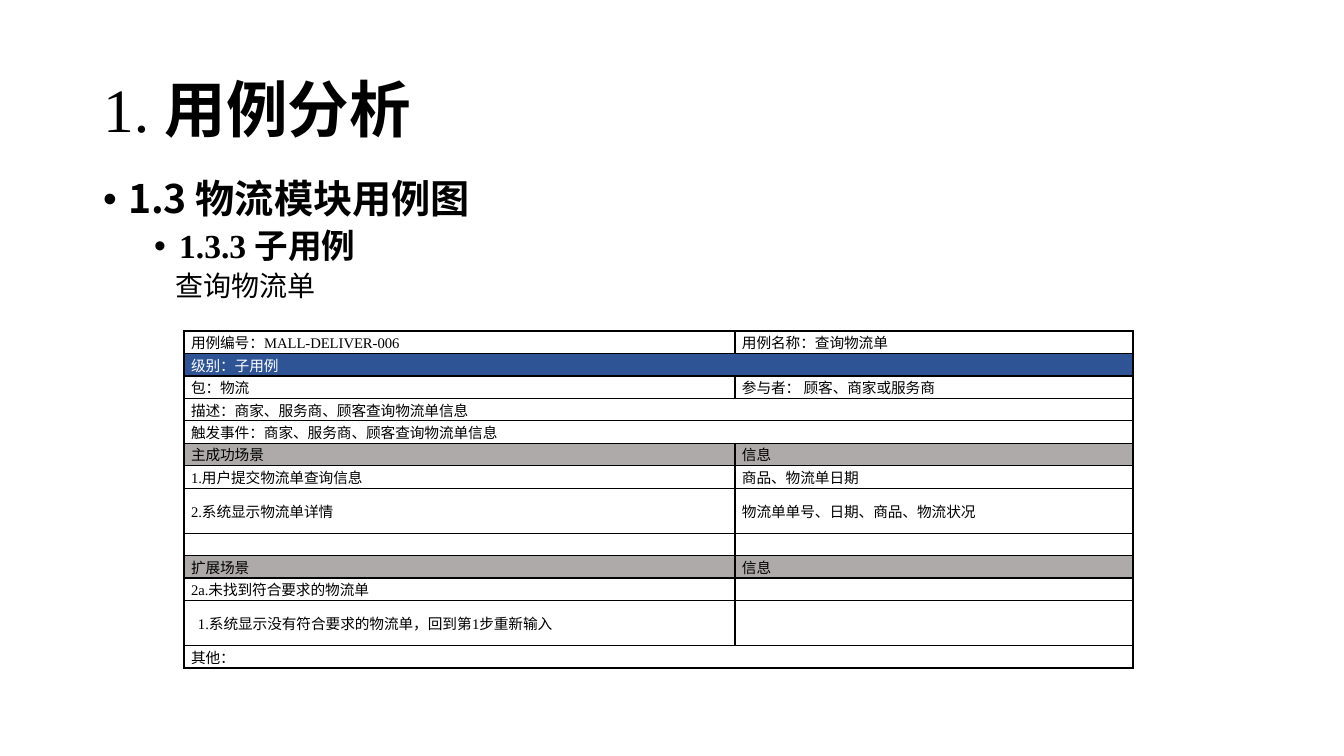
from dataclasses import dataclass

from lxml.etree import SubElement
from pptx import Presentation
from pptx.dml.color import RGBColor
from pptx.enum.text import MSO_ANCHOR as Anchor, MSO_AUTO_SIZE as AutoSize, PP_ALIGN as Align
from pptx.oxml.ns import qn
from pptx.util import Pt

# Content
TITLE = [("1. ", False), ("用例分析", True)]
# text, level, size name, font name, bold, left margin, bullet hang, space before
OUTLINE = [
    ("1.3 物流模块用例图", 0, "heading", "sans", True, 25, 25, 0),
    ("1.3.3 子用例", 1, "subheading", "serif", True, 76, 25, 5),
    ("查询物流单", 1, "item", "serif", False, 72, 0, 5),
]
# cell texts (one text spans the row), row style, height in units, left indent
USE_CASE = [
    (["用例编号：MALL-DELIVER-006", "用例名称：查询物流单"], "plain", 1, 0),
    (["级别：子用例"], "level", 1, 0),
    (["包：物流", "参与者： 顾客、商家或服务商"], "plain", 1, 0),
    (["描述：商家、服务商、顾客查询物流单信息"], "plain", 1, 0),
    (["触发事件：商家、服务商、顾客查询物流单信息"], "plain", 1, 0),
    (["主成功场景", "信息"], "section", 1, 0),
    (["1.用户提交物流单查询信息", "商品、物流单日期"], "plain", 1, 0),
    (["2.系统显示物流单详情", "物流单单号、日期、商品、物流状况"], "plain", 2, 0),
    (["", ""], "plain", 1, 0),
    (["扩展场景", "信息"], "section", 1, 0),
    (["2a.未找到符合要求的物流单", ""], "plain", 1, 0),
    (["1.系统显示没有符合要求的物流单，回到第1步重新输入", ""], "plain", 2, 7),
    (["其他："], "plain", 1, 0),
]

# Layout in px
SLIDE = (1344, 756)
TITLE_BOX = (93, 40, 1159, 146)
BODY_BOX = (93, 175, 1159, 480)
TABLE_LEFT, TABLE_TOP, TABLE_HEIGHT = 184, 331, 337
COLUMNS = (551, 398)
CELL_INSET = 7


@dataclass(frozen=True)
class Theme:
    serif: str = "Times New Roman"
    sans: str = "Noto Sans CJK SC"
    black: str = "000000"
    white: str = "FFFFFF"
    blue: str = "2F5496"
    grey: str = "AEAAAA"
    title: float = 44
    heading: float = 28
    subheading: float = 24
    item: float = 20
    cell: float = 10.5
    border: float = 1


THEME = Theme()
ROW_STYLES = {  # fill, text colour
    "plain": (None, THEME.black),
    "level": (THEME.blue, THEME.white),
    "section": (THEME.grey, THEME.black),
}


def px(length):
    return round(length * 914400 / 100.8)


def place(shape, box):
    shape.left, shape.top, shape.width, shape.height = map(px, box)


def format_span(span, size, font, color=THEME.black, bold=False):
    span.font.size = Pt(size)
    span.font.bold = bold
    span.font.color.rgb = RGBColor.from_string(color)
    span.font.name = font
    SubElement(span.font._element, qn("a:ea"), typeface=THEME.sans)


def set_indent(para, margin, hang=0):
    props = para._p.get_or_add_pPr()
    props.set("marL", str(px(margin)))
    props.set("indent", str(-px(hang)))
    return props


def draw_borders(cell):
    props = cell._tc.get_or_add_tcPr()
    for side in ("lnL", "lnR", "lnT", "lnB"):
        line = SubElement(props, qn(f"a:{side}"), w=str(Pt(THEME.border)))
        SubElement(SubElement(line, qn("a:solidFill")), qn("a:srgbClr"), val=THEME.black)


def fill_title(shape):
    place(shape, TITLE_BOX)
    frame = shape.text_frame
    frame.auto_size = AutoSize.NONE
    frame.vertical_anchor = Anchor.MIDDLE
    para = frame.paragraphs[0]
    para.alignment = Align.LEFT
    para.line_spacing = 0.9
    for text, bold in TITLE:
        span = para.add_run()
        span.text = text
        format_span(span, THEME.title, THEME.serif, bold=bold)


def fill_outline(shape):
    place(shape, BODY_BOX)
    frame = shape.text_frame
    frame.text = "\n".join(entry[0] for entry in OUTLINE)
    frame.auto_size = AutoSize.NONE
    for para, entry in zip(frame.paragraphs, OUTLINE):
        _, level, size, font, bold, margin, hang, before = entry
        props = set_indent(para, margin, hang)
        if hang:
            SubElement(props, qn("a:buFont"), typeface="Arial")
            SubElement(props, qn("a:buChar"), char="•")
        else:
            SubElement(props, qn("a:buNone"))
        para.level = level
        para.line_spacing = 0.9
        para.space_before = Pt(before)
        format_span(para.runs[0], getattr(THEME, size), getattr(THEME, font), bold=bold)


def fill_cell(cell, text, fill, color, indent):
    cell.margin_left = cell.margin_right = px(CELL_INSET)
    cell.margin_top = cell.margin_bottom = 0
    cell.vertical_anchor = Anchor.MIDDLE
    draw_borders(cell)
    if fill:
        cell.fill.solid()
        cell.fill.fore_color.rgb = RGBColor.from_string(fill)
    else:
        cell.fill.background()
    para = cell.text_frame.paragraphs[0]
    para.alignment = Align.JUSTIFY
    if indent:
        set_indent(para, indent)
    if text:
        para.text = text
        format_span(para.runs[0], THEME.cell, THEME.serif, color)
    else:  # keeps an empty row from growing
        SubElement(para._p, qn("a:endParaRPr"), sz=str(int(THEME.cell * 100)))


def add_use_case(page):
    frame = page.shapes.add_table(len(USE_CASE), len(COLUMNS), px(TABLE_LEFT), px(TABLE_TOP),
                                  px(sum(COLUMNS)), px(TABLE_HEIGHT))
    table = frame.table
    table.first_row = table.horz_banding = False
    for column, width in zip(table.columns, COLUMNS):
        column.width = px(width)
    unit = TABLE_HEIGHT / sum(units for _, _, units, _ in USE_CASE)
    for index, (texts, style, units, indent) in enumerate(USE_CASE):
        table.rows[index].height = px(unit * units)
        if len(texts) == 1:
            table.cell(index, 0).merge(table.cell(index, 1))
        for col in range(len(COLUMNS)):
            text = texts[col] if col < len(texts) else ""
            fill_cell(table.cell(index, col), text, *ROW_STYLES[style], 0 if col else indent)


def main():
    deck = Presentation()
    deck.slide_width, deck.slide_height = map(px, SLIDE)
    page = deck.slides.add_slide(deck.slide_layouts[1])
    fill_title(page.shapes.title)
    fill_outline(page.placeholders[1])
    add_use_case(page)
    deck.save("out.pptx")


if __name__ == "__main__":
    main()
